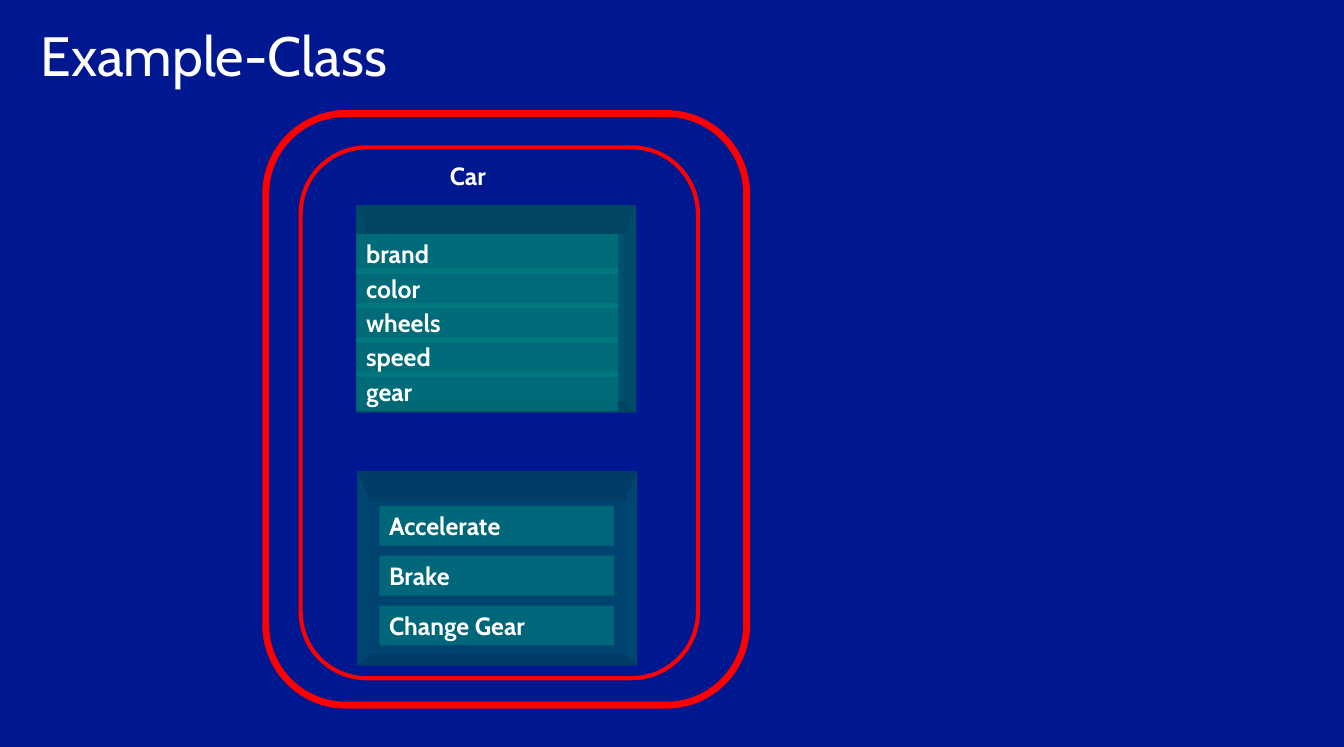
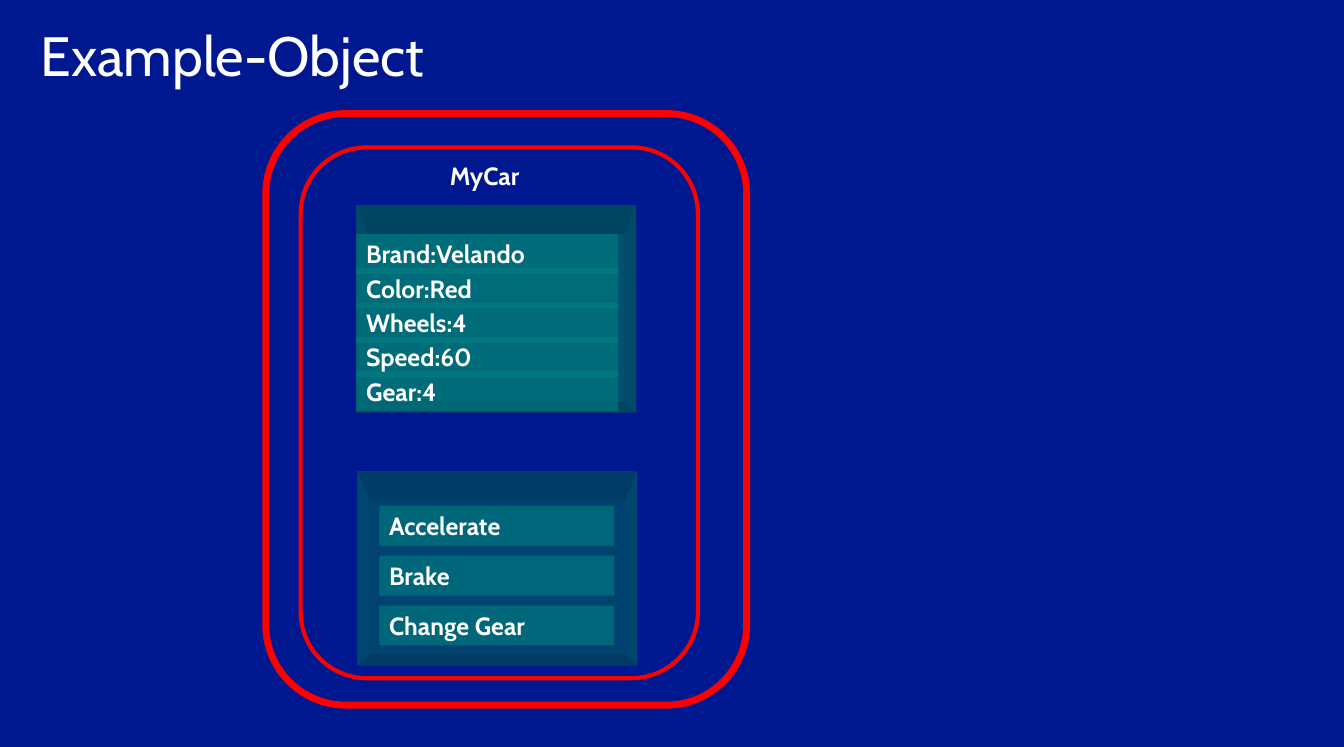
import dataclasses

import lxml.etree
import pptx
import pptx.dml.color
import pptx.enum.shapes
import pptx.enum.text
import pptx.oxml.ns
import pptx.util


@dataclasses.dataclass(frozen=True)
class Theme:
    background: str = "00188F"
    text: str = "FFFFFF"
    row: str = "008080"
    outline: str = "FF0000"
    font: str = "Cabin"
    title_size: int = 40
    body_size: int = 18
    row_opacity: int = 60


theme = Theme()
rgb = pptx.dml.color.RGBColor.from_string
shape_kinds = pptx.enum.shapes.MSO_SHAPE
anchors = pptx.enum.text.MSO_ANCHOR

deck = pptx.Presentation()
deck.slide_width = pptx.util.Inches(13.5)
deck.slide_height = pptx.util.Inches(7.5)
COLUMNS = 54
cell = deck.slide_width // COLUMNS

title_style = {"name": theme.font, "size": pptx.util.Pt(theme.title_size), "bold": False}
body_style = {"name": theme.font, "size": pptx.util.Pt(theme.body_size), "bold": True}
title_frame = {
    "word_wrap": True,
    "vertical_anchor": anchors.TOP,
    "margin_left": pptx.util.Inches(0.16),
    "margin_right": pptx.util.Inches(0.16),
    "margin_top": pptx.util.Inches(0.04),
    "margin_bottom": pptx.util.Inches(0.04),
}
body_frame = {"word_wrap": False, "vertical_anchor": anchors.MIDDLE}

TITLE_BOX = (1, 0.68, 51.6, 3.92)
NAME_BOX = (17.68, 6, 8, 2.08)
BEVEL_SIDE, BEVEL_TOP, BEVEL_BOTTOM = 0.48, 1.16, 0.44
ROW_HEIGHT = 1.6
outlines = [((10.68, 4.56, 19.32, 23.76), 5), ((12.08, 5.92, 15.96, 21.32), 3)]

attribute_panel = {
    "box": (14.32, 8.24, 11.24, 8.32),
    "face": "00506F",
    "edges": ("004562", "004A6A", "004562", "004A6A"),
    "first_row": (14.32, 9.4, 10.52),
    "pitch": 1.38,
}
method_panel = {
    "box": (14.36, 18.92, 11.24, 7.8),
    "face": "004371",
    "edges": ("003C66", "00466F", "003C66", "00466F"),
    "first_row": (15.24, 20.32, 9.44),
    "pitch": 2,
}
methods = ["Accelerate", "Brake", "Change Gear"]
pages = [
    ("Example-Class", "Car", ["brand", "color", "wheels", "speed", "gear"]),
    ("Example-Object", "MyCar",
     ["Brand:Velando", "Color:Red", "Wheels:4", "Speed:60", "Gear:4"]),
]


def paint(shape, color):
    shape.shadow.inherit = False
    shape.line.fill.background()
    shape.fill.solid()
    shape.fill.fore_color.rgb = rgb(color)


def write(frame, text, frame_style, font_style):
    for attribute, value in frame_style.items():
        setattr(frame, attribute, value)
    paragraph = frame.paragraphs[0]
    paragraph.alignment = pptx.enum.text.PP_ALIGN.LEFT
    run = paragraph.add_run()
    run.text = text
    for attribute, value in font_style.items():
        setattr(run.font, attribute, value)
    run.font.color.rgb = rgb(theme.text)


master_fill = deck.slide_master.background.fill
master_fill.solid()
master_fill.fore_color.rgb = rgb(theme.background)

for title, object_name, attributes in pages:
    slide = deck.slides.add_slide(deck.slide_layouts[6])
    for box, text, frame_style, font_style in [
        (TITLE_BOX, title, title_frame, title_style),
        (NAME_BOX, object_name, body_frame, body_style),
    ]:
        heading = slide.shapes.add_textbox(*(round(v * cell) for v in box))
        write(heading.text_frame, text, frame_style, font_style)

    for panel, members in [(method_panel, methods), (attribute_panel, attributes)]:
        left, top, width, height = panel["box"]
        right, bottom = left + width, top + height
        face = slide.shapes.add_shape(
            shape_kinds.RECTANGLE, *(round(v * cell) for v in panel["box"]))
        paint(face, panel["face"])

        outer = [(left, top), (right, top), (right, bottom), (left, bottom)]
        inner_left, inner_right = left + BEVEL_SIDE, right - BEVEL_SIDE
        inner_top, inner_bottom = top + BEVEL_TOP, bottom - BEVEL_BOTTOM
        inner = [(inner_left, inner_top), (inner_right, inner_top),
                 (inner_right, inner_bottom), (inner_left, inner_bottom)]
        for side, color in enumerate(panel["edges"]):
            following = (side + 1) % 4
            corners = [(round(x * cell), round(y * cell)) for x, y in
                       (outer[side], outer[following], inner[following], inner[side])]
            edge = slide.shapes.build_freeform(*corners[0])
            edge.add_line_segments(corners[1:], close=True)
            paint(edge.convert_to_shape(), color)

        row_left, row_top, row_width = panel["first_row"]
        for index, member in enumerate(members):
            row_box = (row_left, row_top + index * panel["pitch"], row_width, ROW_HEIGHT)
            row = slide.shapes.add_shape(
                shape_kinds.RECTANGLE, *(round(v * cell) for v in row_box))
            paint(row, theme.row)
            row_color = row.element.spPr.find(".//" + pptx.oxml.ns.qn("a:srgbClr"))
            alpha = lxml.etree.SubElement(row_color, pptx.oxml.ns.qn("a:alpha"))
            alpha.set("val", str(theme.row_opacity * 1000))
            write(row.text_frame, member, body_frame, body_style)

    for box, weight in outlines:
        outline = slide.shapes.add_shape(
            shape_kinds.ROUNDED_RECTANGLE, *(round(v * cell) for v in box))
        outline.shadow.inherit = False
        outline.fill.background()
        outline.line.color.rgb = rgb(theme.outline)
        outline.line.width = pptx.util.Pt(weight)

deck.save("out.pptx")
